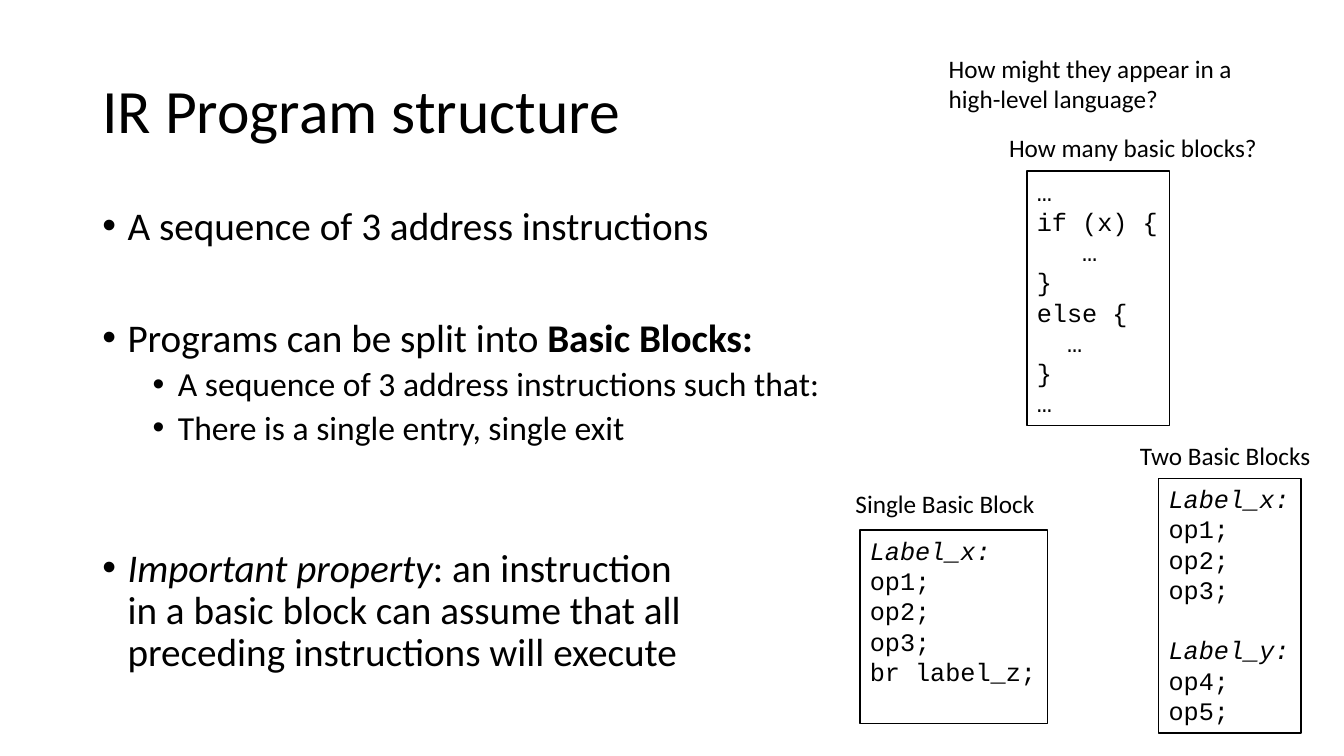
"""Build the slide on IR program structure and basic blocks."""
from lxml import etree
from pptx import Presentation
from pptx import util as u
from pptx.dml.color import RGBColor
from pptx.enum import shapes, text
from pptx.oxml import ns

BLACK = RGBColor(0, 0, 0)
WHITE = RGBColor(255, 255, 255)


class BlockSlide:
    """Holds the style and the current slide."""

    prose_font = "Calibri"
    code_font = "Courier New"
    label_size = 18
    code_line = 21.6
    bullet_sizes = (28, 24)
    bullet_indents = (0.25, 0.75)

    def __init__(self, deck):
        self.slide = deck.slides.add_slide(deck.slide_layouts[6])

    def style(self, font, face, size):
        font.name, font.size = face, u.Pt(size)
        font.color.rgb = BLACK

    def prose(self, wording, left, top, width, height, size=label_size, wrap=False):
        frame = self.slide.shapes.add_textbox(
            u.Cm(left), u.Cm(top), u.Cm(width), u.Cm(height)).text_frame
        frame.word_wrap = wrap
        frame.text = wording
        for line in frame.paragraphs:
            self.style(line.font, self.prose_font, size)
        return frame

    def title(self, wording, *place):
        frame = self.prose(wording, *place, size=44, wrap=True)
        frame.vertical_anchor = text.MSO_ANCHOR.MIDDLE
        frame.paragraphs[0].line_spacing = 0.9

    def code(self, listing, left, top, width, height):
        block = self.slide.shapes.add_shape(
            shapes.MSO_SHAPE.RECTANGLE, u.Cm(left), u.Cm(top), u.Cm(width), u.Cm(height))
        block.shadow.inherit = False
        block.fill.solid()
        block.fill.fore_color.rgb = WHITE
        block.line.color.rgb = BLACK
        block.line.width = u.Pt(1)
        frame = block.text_frame
        frame.word_wrap = False
        frame.vertical_anchor = text.MSO_ANCHOR.TOP
        frame.text = listing
        for number, line in enumerate(frame.paragraphs):
            line.alignment = text.PP_ALIGN.LEFT
            self.style(line.font, self.code_font, self.label_size)
            is_label = line.text.startswith("Label")
            for run in line.runs:
                self.style(run.font, self.code_font, self.label_size)
                run.font.italic = is_label
            if is_label and number:
                line.space_before = u.Pt(self.code_line)

    def bullets(self, points, *place):
        frame = self.prose("", *place, wrap=True)
        for number, (level, gap, parts) in enumerate(points):
            point = frame.add_paragraph() if number else frame.paragraphs[0]
            point.level = level
            point.line_spacing = 0.9
            point.space_before = u.Pt(gap)
            props = point._p.get_or_add_pPr()
            props.set("marL", str(u.Inches(self.bullet_indents[level])))
            props.set("indent", str(-u.Inches(0.25)))
            etree.SubElement(props, ns.qn("a:buFont")).set("typeface", "Arial")
            etree.SubElement(props, ns.qn("a:buChar")).set("char", "•")
            self.style(point.font, self.prose_font, self.bullet_sizes[level])
            for wording, emphasis in parts:
                for row, piece in enumerate(wording.split("\n")):
                    if row:
                        point.add_line_break()
                    run = point.add_run()
                    run.text = piece
                    self.style(run.font, self.prose_font, self.bullet_sizes[level])
                    run.font.bold = emphasis == "bold"
                    run.font.italic = emphasis == "italic"


def main():
    deck = Presentation()
    deck.slide_width, deck.slide_height = u.Cm(33.87), u.Cm(19.05)
    page = BlockSlide(deck)

    page.title("IR Program structure", 2.33, 1.01, 29.21, 3.68)
    page.code("Label_x:\nop1;\nop2;\nop3;\nLabel_y:\nop4;\nop5;", 29.2, 12.06, 3.59, 6.41)
    page.code("Label_x:\nop1;\nop2;\nop3;\nbr label_z;", 21.67, 13.36, 4.73, 4.87)
    page.code("…\nif (x) {\n   …\n}\nelse {\n  …\n}\n…", 25.88, 4.31, 3.59, 6.41)

    page.prose("How might they appear in a\nhigh-level language?", 23.66, 1.21, 7.87, 1.8)
    page.prose("Single Basic Block", 21.31, 12.17, 5.08, 1.03)
    page.prose("Two Basic Blocks", 28.48, 10.98, 4.85, 1.03)
    page.prose("How many basic blocks?", 25.18, 3.2, 6.83, 1.03)

    page.bullets([
        (0, 0, [("A sequence of 3 address instructions", None)]),
        (0, 50, [("Programs can be split into ", None), ("Basic Blocks:", "bold")]),
        (1, 5, [("A sequence of 3 address instructions such that:", None)]),
        (1, 5, [("There is a single entry, single exit", None)]),
        (0, 72, [("Important property", "italic"),
                 (": an instruction\nin a basic block can assume that all\n"
                  "preceding instructions will execute", None)]),
    ], 2.33, 5.07, 29.21, 12.19)

    deck.save("out.pptx")


if __name__ == "__main__":
    main()
